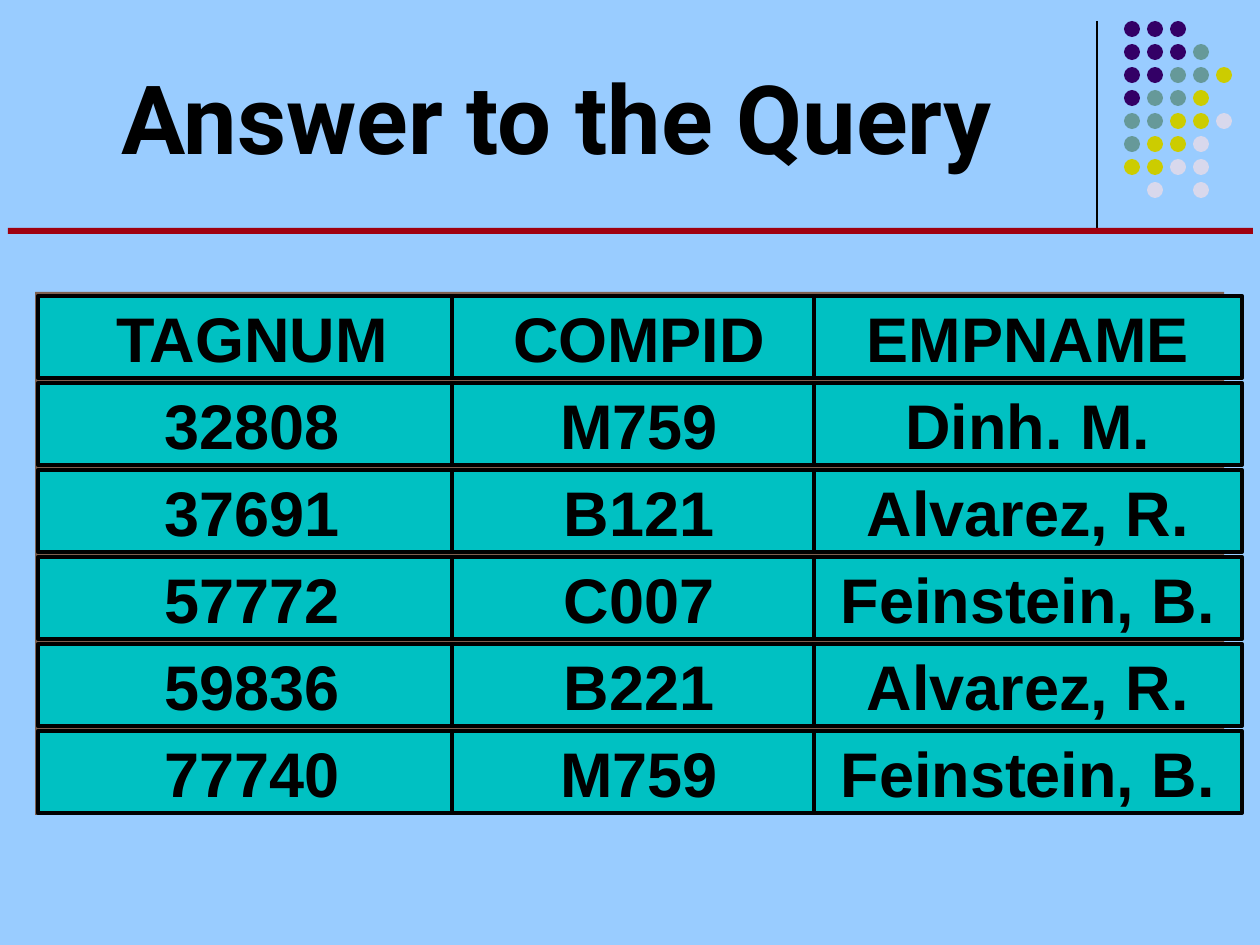
from lxml.etree import SubElement
from pptx import Presentation
from pptx.dml.color import RGBColor
from pptx.enum.shapes import MSO_CONNECTOR, MSO_SHAPE
from pptx.enum.text import MSO_ANCHOR, PP_ALIGN
from pptx.oxml.ns import qn
from pptx.util import Pt

SCALE = 914400 / 126  # EMU per px
COLORS = {
    "back": "99CCFF", "ink": "000000", "bar": "9F000F",
    "frame": "7F604F", "cell": "00C1C2",
    "P": "330066", "T": "669999", "Y": "CCCC00", "L": "D8D8EC",
}
# One letter per dot, keyed to COLORS; a dot marks an empty place
DOTS = ["PPP", "PPPT", "PPTTY", "PTTY", "TTYYL", "TYYL", "YYLL", ".L.L"]
COLS = [(38, 428), (452, 374), (814, 428)]  # left, width
ROWS = [
    ("TAGNUM", "COMPID", "EMPNAME"),
    ("32808", "M759", "Dinh. M."),
    ("37691", "B121", "Alvarez, R."),
    ("57772", "C007", "Feinstein, B."),
    ("59836", "B221", "Alvarez, R."),
    ("77740", "M759", "Feinstein, B."),
]


def px(*nums):
    return [round(n * SCALE) for n in nums]


def color(key):
    return RGBColor.from_string(COLORS[key])


def add_box(slide, kind, area, fill, line=None):
    box = slide.shapes.add_shape(kind, *px(*area))
    box.shadow.inherit = False
    box.fill.solid()
    box.fill.fore_color.rgb = color(fill)
    if line:
        box.line.color.rgb = color("ink")
        box.line.width = Pt(line)
    else:
        box.line.fill.background()
    return box


def add_slab(slide, area, fill):
    slab = add_box(slide, MSO_SHAPE.ROUNDED_RECTANGLE, area, fill)
    slab.adjustments[0] = 0


def set_text(shape, text, font, size, anchor):
    frame = shape.text_frame
    frame.word_wrap = True
    frame.vertical_anchor = anchor
    frame.margin_left = frame.margin_right = 0
    frame.margin_top = frame.margin_bottom = 0
    para = frame.paragraphs[0]
    para.text = text
    para.alignment = PP_ALIGN.CENTER
    para.font.name = font
    para.font.size = Pt(size)
    para.font.bold = True
    para.font.color.rgb = color("ink")
    return para


def add_rule(slide, x, top, end):
    rule = slide.shapes.add_connector(
        MSO_CONNECTOR.STRAIGHT, *px(x, top, x, end))
    rule.line.color.rgb = color("ink")
    rule.line.width = Pt(0.75)
    SubElement(rule._element.spPr, qn("a:effectLst"))


def add_dots(slide, left, top, step, size):
    for j, row in enumerate(DOTS):
        for i, key in enumerate(row):
            if key != ".":
                area = (left + i * step, top + j * step, size, size)
                add_box(slide, MSO_SHAPE.OVAL, area, key)


def add_title(slide, text, area):
    box = slide.shapes.add_textbox(*px(*area))
    para = set_text(box, text, "Roboto", 54.6, MSO_ANCHOR.BOTTOM)
    para.line_spacing = 0.9


def add_grid(slide, top, step, high):
    # Separate boxes: columns overlap and rows stand apart
    for j, row in enumerate(ROWS):
        for (left, wide), text in zip(COLS, row):
            area = (left, top + j * step, wide, high)
            cell = add_box(slide, MSO_SHAPE.RECTANGLE, area, "cell", 2.47)
            set_text(cell, text, "Arial", 36, MSO_ANCHOR.MIDDLE)


def main():
    deck = Presentation()
    deck.slide_width, deck.slide_height = px(1260, 945)
    slide = deck.slides.add_slide(deck.slide_layouts[6])
    slide.background.fill.solid()
    slide.background.fill.fore_color.rgb = color("back")

    # Header
    add_rule(slide, 1097, 21, 231)
    add_dots(slide, 1124, 21, 23, 16)
    add_slab(slide, (8, 228, 1245, 6), "bar")
    add_title(slide, "Answer to the Query", (32, 25, 1050, 150))

    # Query result
    add_slab(slide, (35, 292, 1189, 523), "frame")
    add_grid(slide, 296, 87, 82)

    deck.save("out.pptx")


if __name__ == "__main__":
    main()
